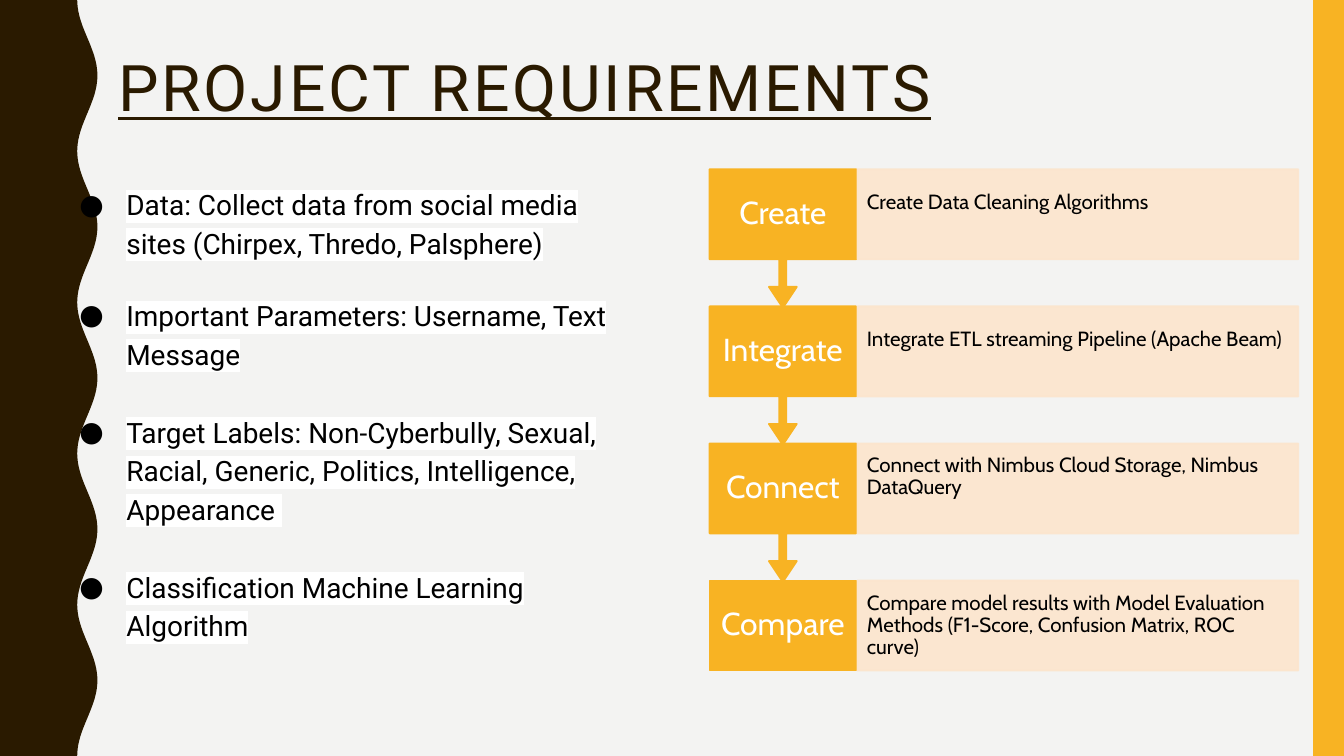
"""Builds the project requirements slide."""
import math

import lxml.etree
import pptx
import pptx.dml.color
import pptx.enum.shapes
import pptx.enum.text
import pptx.oxml.ns
import pptx.util

COLORS = {
    "background": "F3F3F2",
    "brown": "2A1A00",
    "amber": "F8B323",
    "peach": "FCE5CD",
    "black": "000000",
    "white": "FFFFFF",
}
COLUMNS, ROWS = 100, 56.25
SHAPES = pptx.enum.shapes.MSO_SHAPE
ALIGN = pptx.enum.text.PP_ALIGN
ANCHOR = pptx.enum.text.MSO_ANCHOR
qn = pptx.oxml.ns.qn


class Deck:
    """Holds the style and the current slide, measured in grid columns and rows."""

    def __init__(self):
        self.presentation = pptx.Presentation()
        self.presentation.slide_width = pptx.util.Inches(10)
        self.presentation.slide_height = pptx.util.Inches(5.625)
        self.column = self.presentation.slide_width / COLUMNS
        self.row = self.presentation.slide_height / ROWS
        self.slide = self.presentation.slides.add_slide(self.presentation.slide_layouts[1])
        self.paint(self.slide.background.fill, "background")

    def place(self, left, top, width, height):
        return (round(left * self.column), round(top * self.row),
                round(width * self.column), round(height * self.row))

    def color(self, name):
        return pptx.dml.color.RGBColor.from_string(COLORS[name])

    def paint(self, fill, name):
        fill.solid()
        fill.fore_color.rgb = self.color(name)

    def to_layout(self, shape):
        self.slide.slide_layout.shapes.element.append(shape.element)

    def block(self, box, color, preset=SHAPES.RECTANGLE, opacity=100, outlined=True):
        shape = self.slide.shapes.add_shape(preset, *self.place(*box))
        shape.shadow.inherit = False
        self.paint(shape.fill, color)
        if outlined:
            shape.line.width = pptx.util.Pt(1)
            self.paint(shape.line.fill, color)
        else:
            shape.line.fill.background()
        if opacity < 100:
            for paint in shape.element.spPr.iter(qn("a:srgbClr")):
                lxml.etree.SubElement(paint, qn("a:alpha"), val=str(opacity * 1000))
        return shape

    def wave(self, middle, swing, period, color):
        steps = 200
        heights = [ROWS * step / steps for step in range(steps + 1)]
        edge = [((middle - swing * math.cos(2 * math.pi * y / period)) * self.column, y * self.row)
                for y in heights]
        builder = self.slide.shapes.build_freeform(0, 0)
        builder.add_line_segments(edge + [(0, ROWS * self.row)], close=True)
        shape = builder.convert_to_shape()
        shape.shadow.inherit = False
        self.paint(shape.fill, color)
        shape.line.fill.background()
        return shape

    def frame(self, shape, insets, anchor):
        frame = shape.text_frame
        frame.word_wrap = True
        frame.auto_size = pptx.enum.text.MSO_AUTO_SIZE.NONE
        frame.vertical_anchor = anchor
        (frame.margin_left, frame.margin_top, frame.margin_right,
         frame.margin_bottom) = [round(inset * self.column) for inset in insets]
        return frame

    def add_text(self, paragraph, text, size, font, color, spacing, align=ALIGN.LEFT, after=0):
        paragraph.alignment = align
        paragraph.line_spacing = spacing
        paragraph.space_before = pptx.util.Pt(0)
        paragraph.space_after = pptx.util.Pt(after)
        run = paragraph.add_run()
        run.text = text
        run.font.size = pptx.util.Pt(size)
        run.font.name = font
        run.font.color.rgb = self.color(color)
        return run

    def title(self, box, text):
        shape = self.slide.shapes.title
        shape.left, shape.top, shape.width, shape.height = self.place(*box)
        frame = self.frame(shape, (1, 1, 1, 1), ANCHOR.TOP)
        run = self.add_text(frame.paragraphs[0], text, 34.4, "Roboto", "brown", 0.9)
        run.font.underline = True
        run._r.get_or_add_rPr().set("spc", "150")

    def bullets(self, box, items):
        shape = self.slide.placeholders[1]
        shape.left, shape.top, shape.width, shape.height = self.place(*box)
        frame = self.frame(shape, (1, 1, 1, 1), ANCHOR.TOP)
        for index, (text, after) in enumerate(items):
            paragraph = frame.add_paragraph() if index else frame.paragraphs[0]
            run = self.add_text(paragraph, text, 15, "Roboto", "black", 1.15, after=after)
            highlight = lxml.etree.Element(qn("a:highlight"))
            lxml.etree.SubElement(highlight, qn("a:srgbClr"), val=COLORS["white"])
            run._r.get_or_add_rPr().find(qn("a:solidFill")).addnext(highlight)
            properties = paragraph._p.get_or_add_pPr()
            properties.set("marL", str(pptx.util.Inches(0.5)))
            properties.set("indent", str(-pptx.util.Inches(0.35)))
            bullet_color = lxml.etree.SubElement(properties, qn("a:buClr"))
            lxml.etree.SubElement(bullet_color, qn("a:srgbClr"), val=COLORS["black"])
            lxml.etree.SubElement(properties, qn("a:buFont"), typeface="Roboto")
            lxml.etree.SubElement(properties, qn("a:buChar"), char="●")

    def step(self, top, name, detail, last):
        if last:
            label = self.block((52.8, top, 10.9, 6.7), "amber")
        else:
            label = self.block((52.8, top, 10.9, 10.3), "amber", SHAPES.DOWN_ARROW_CALLOUT)
            for index, share in enumerate((0.05, 0.1, 0.15, 0.65)):
                label.adjustments[index] = share
        frame = self.frame(label, (0.8, 1.3, 0.8, 1.3), ANCHOR.MIDDLE)
        self.add_text(frame.paragraphs[0], name, 17, "Cabin", "white", 0.9, ALIGN.CENTER)
        panel = self.block((63.8, top, 32.8, 6.7), "peach", opacity=90)
        frame = self.frame(panel, (0.7, 0.5, 0.7, 0.5 if last else 2.2), ANCHOR.MIDDLE)
        self.add_text(frame.paragraphs[0], detail, 11, "Cabin", "black", 0.9)


deck = Deck()
deck.to_layout(deck.wave(6.5, 0.75, 11.25, "brown"))
deck.to_layout(deck.block((97.7, 0, 2.3, ROWS), "amber", outlined=False))
deck.title((7.8, 3.2, 93.2, 6.3), "PROJECT REQUIREMENTS")
deck.bullets((3.4, 12.6, 43.7, 37.4), [
    ("Data: Collect data from social media sites (Chirpex, Thredo, Palsphere)", 18),
    ("Important Parameters: Username, Text Message", 21),
    ("Target Labels: Non-Cyberbully, Sexual, Racial, Generic, Politics, Intelligence, Appearance ", 21),
    ("Classification Machine Learning Algorithm", 0),
])
steps = [
    ("Create", "Create Data Cleaning Algorithms"),
    ("Integrate", "Integrate ETL streaming Pipeline (Apache Beam)"),
    ("Connect", "Connect with Nimbus Cloud Storage, Nimbus DataQuery"),
    ("Compare", "Compare model results with Model Evaluation Methods "
                "(F1-Score, Confusion Matrix, ROC curve)"),
]
for index, (name, detail) in reversed(list(enumerate(steps))):
    deck.step(12.6 + 10.2 * index, name, detail, index == len(steps) - 1)
deck.presentation.save("out.pptx")
